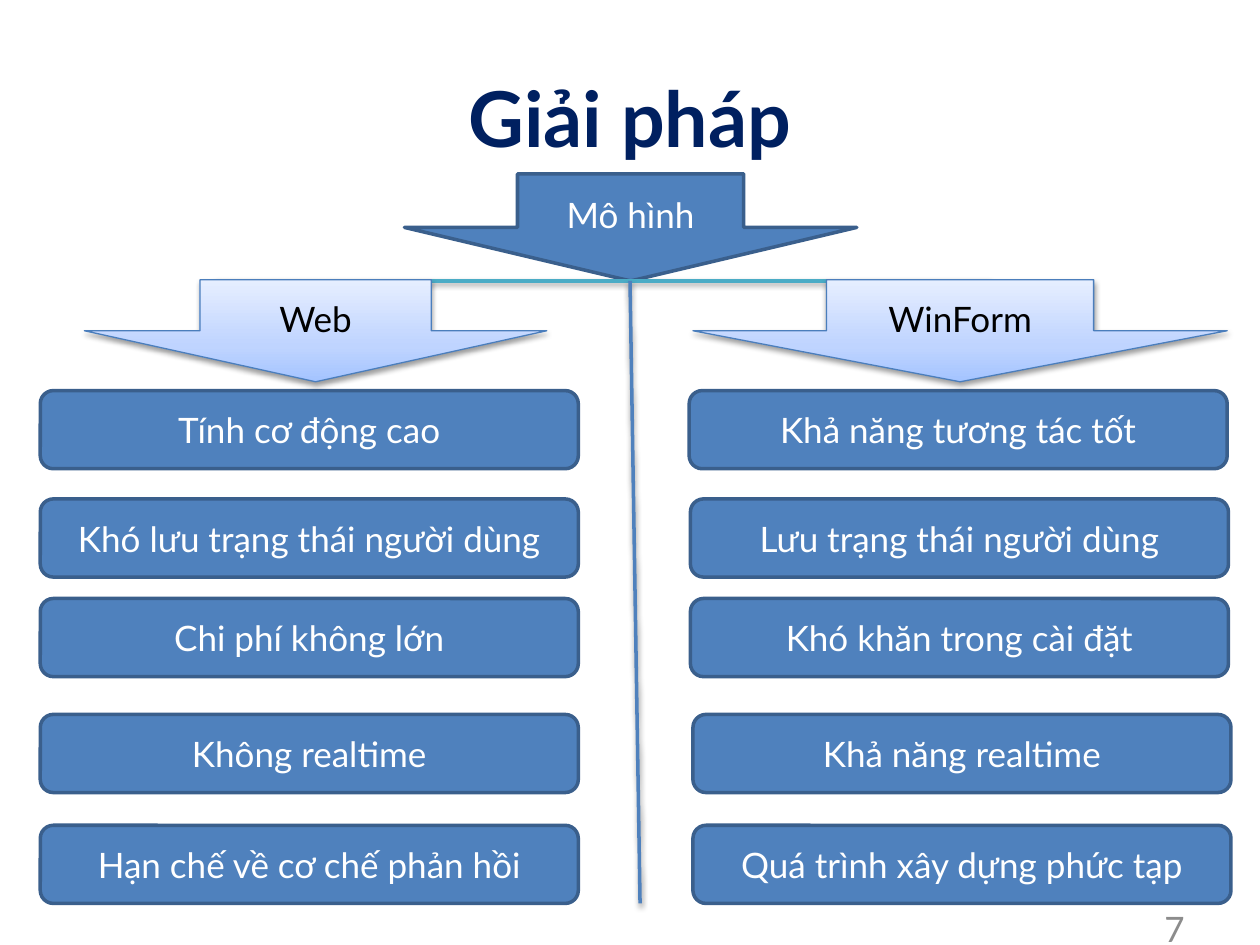
from lxml import etree
from pptx import Presentation
from pptx.dml.color import RGBColor
from pptx.enum import shapes, text
from pptx.oxml.ns import qn
from pptx.util import Inches, Pt

FONT = "Lato"
BLUE, DARK_BLUE, TEAL = "4F81BD", "3A5F8C", "4BACC6"
PALE_STOPS = [(0, "A4C4FF"), (35, "BFD4FF"), (100, "E6EEFF")]

ROW_TOPS = [3.1, 3.96, 4.75, 5.67, 6.55]
ROW_WIDTH, ROW_HEIGHT = 4.27, 0.62
COLUMNS = [
    ("Web", (0.67, 2.22, 3.67, 0.81), [0.32] * 5, [
        "Tính cơ động cao",
        "Khó lưu trạng thái người dùng",
        "Chi phí không lớn",
        "Không realtime",
        "Hạn chế về cơ chế phản hồi",
    ]),
    ("WinForm", (5.5, 2.22, 4.24, 0.81), [5.47, 5.48, 5.48, 5.5, 5.5], [
        "Khả năng tương tác tốt",
        "Lưu trạng thái người dùng",
        "Khó khăn trong cài đặt",
        "Khả năng realtime",
        "Quá trình xây dựng phức tạp",
    ]),
]


def rgb(value):
    return RGBColor.from_string(value)


def inches(box):
    return [Inches(length) for length in box]


def write(shape, words, size=20, color="FFFFFF", align=text.PP_ALIGN.CENTER, bold=False):
    frame = shape.text_frame
    frame.word_wrap = True
    frame.vertical_anchor = text.MSO_ANCHOR.MIDDLE
    frame.text = words
    paragraph = frame.paragraphs[0]
    paragraph.alignment = align
    font = paragraph.font
    font.name, font.size, font.bold = FONT, Pt(size), bold
    font.color.rgb = rgb(color)


def set_line(shape, color, width):
    shape.line.color.rgb = rgb(color)
    shape.line.width = Pt(width)


def add_color(parent, color):
    return etree.SubElement(parent, qn("a:srgbClr"), val=color)


def add_shadow(effects):
    """Put a soft shadow, falling straight down, into an a:effectLst."""
    shadow = etree.SubElement(effects, qn("a:outerShdw"), blurRad=str(Pt(3.1)),
                              dist=str(Pt(1.6)), dir="5400000", rotWithShape="0")
    etree.SubElement(add_color(shadow, "000000"), qn("a:alpha"), val="38000")


def add_block(slide, kind, box, words):
    shape = slide.shapes.add_shape(kind, *inches(box))
    shape.shadow.inherit = False
    shape.fill.solid()
    shape.fill.fore_color.rgb = rgb(BLUE)
    set_line(shape, DARK_BLUE, 2)
    write(shape, words)
    return shape


def add_pale_arrow(slide, box, words):
    arrow = add_block(slide, shapes.MSO_SHAPE.DOWN_ARROW, box, words)
    arrow.fill.gradient()
    arrow.fill.gradient_angle = 90
    properties = arrow.element.spPr
    stops = properties.find(".//" + qn("a:gsLst"))
    for stop in list(stops):
        stops.remove(stop)
    for position, color in PALE_STOPS:
        add_color(etree.SubElement(stops, qn("a:gs"), pos=str(position * 1000)), color)
    set_line(arrow, "4B7EBC", 0.75)
    add_shadow(properties.find(qn("a:effectLst")))
    arrow.text_frame.paragraphs[0].font.color.rgb = rgb("000000")


def add_divider(slide, ends, color):
    line = slide.shapes.add_connector(shapes.MSO_CONNECTOR.STRAIGHT, *inches(ends))
    set_line(line, color, 2)
    add_shadow(etree.SubElement(line.element.spPr, qn("a:effectLst")))


def add_heading(slide, box):
    title = slide.shapes.title
    title.left, title.top, title.width, title.height = inches(box)
    write(title, "Giải pháp", size=44, color="002060", bold=True)


def add_page_number(slide, box):
    number = slide.shapes.add_textbox(*inches(box))
    write(number, "7", color="8C8C8C", align=text.PP_ALIGN.RIGHT)


def add_column(slide, heading, arrow_box, lefts, items):
    for left, top, item in zip(lefts, ROW_TOPS, items):
        add_block(slide, shapes.MSO_SHAPE.ROUNDED_RECTANGLE,
                  (left, top, ROW_WIDTH, ROW_HEIGHT), item)
    add_pale_arrow(slide, arrow_box, heading)


def main():
    presentation = Presentation()
    presentation.slide_width, presentation.slide_height = Inches(10), Inches(7.5)
    slide = presentation.slides.add_slide(presentation.slide_layouts[5])
    add_heading(slide, (0.5, 0.3, 9, 1.25))
    add_page_number(slide, (7.17, 7.17, 2.33, 0.4))
    add_block(slide, shapes.MSO_SHAPE.DOWN_ARROW, (3.21, 1.38, 3.59, 0.85), "Mô hình")
    add_divider(slide, (1.71, 2.23, 7.86, 2.23), TEAL)
    add_divider(slide, (5, 2.23, 5.08, 7.17), BLUE)
    for column in COLUMNS:
        add_column(slide, *column)
    presentation.save("out.pptx")


if __name__ == "__main__":
    main()
